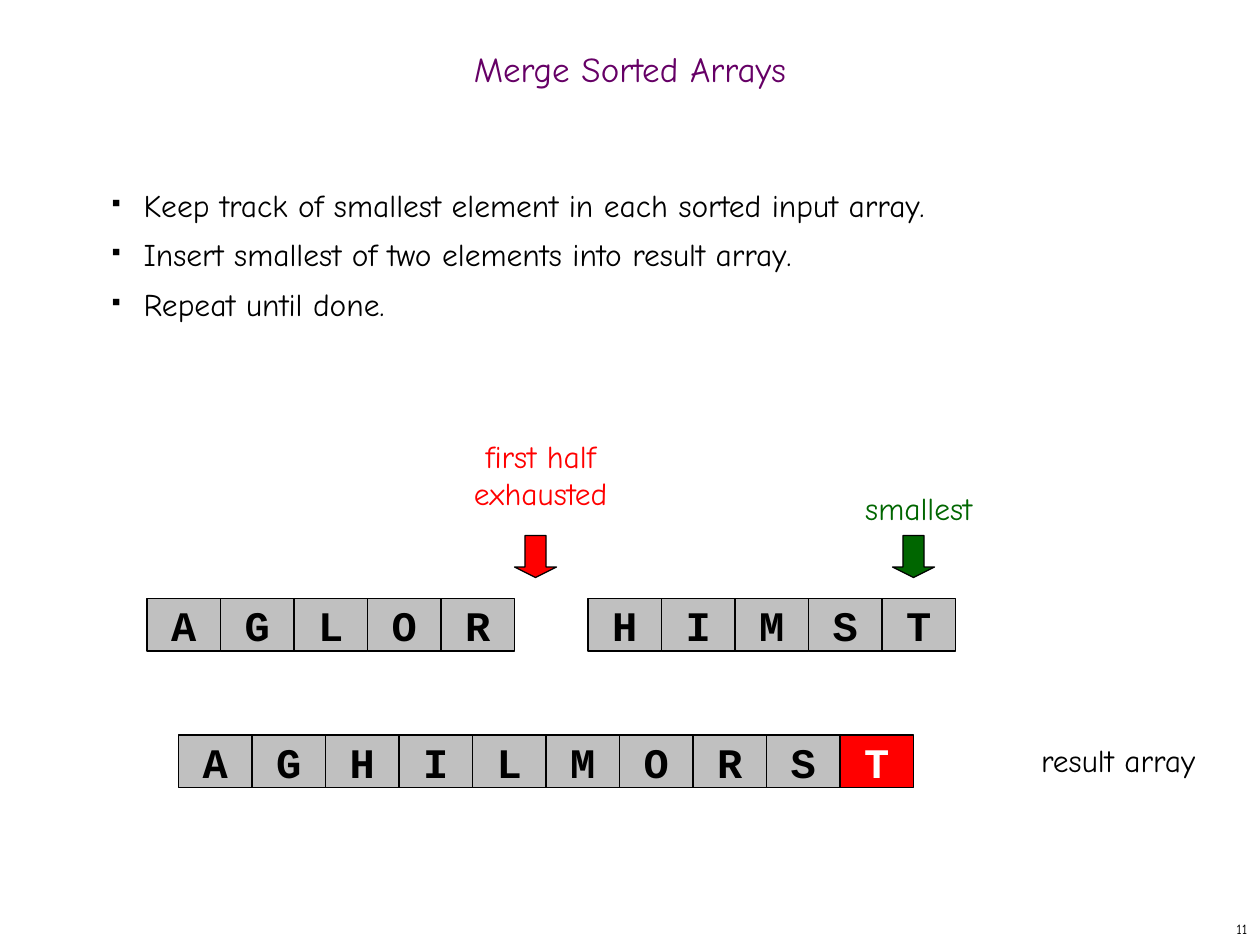
from lxml import etree
from pptx import Presentation
from pptx.dml.color import RGBColor
from pptx.enum.shapes import MSO_SHAPE as SHAPE
from pptx.enum.text import MSO_ANCHOR as ANCHOR, PP_ALIGN as ALIGN
from pptx.oxml.ns import qn
from pptx.util import Pt

CELL_W, CELL_H = 42, 30
INPUT_TOP, RESULT_TOP = 342, 420
ARROW_TOP, ARROW_SIZE = 306, 24
BLACK, WHITE, GRAY = "000000", "FFFFFF", "C0C0C0"
RED, GREEN, PURPLE = "FF0000", "006600", "660066"


def rgb(color):
    return RGBColor.from_string(color)


def write(sp, *lines, font="Comic Neue", size=18, color=BLACK, bold=False,
          align=ALIGN.CENTER, anchor=ANCHOR.TOP, wrap=True, spacing=None,
          before=0, bulleted=False):
    """Fill a shape with one paragraph per line; a newline is a line break."""
    tf = sp.text_frame
    tf.word_wrap = wrap
    tf.vertical_anchor = anchor
    for i, line in enumerate(lines):
        p = tf.add_paragraph() if i else tf.paragraphs[0]
        p.text = line
        p.alignment = align
        if spacing:
            p.line_spacing = spacing
        if i:
            p.space_before = Pt(before)
        if bulleted:
            add_bullet(p)
        for r in p.runs:
            r.font.name = font
            r.font.size = Pt(size)
            r.font.bold = bold
            r.font.color.rgb = rgb(color)


def add_bullet(p):
    pPr = p._p.get_or_add_pPr()
    pPr.set("marL", str(Pt(27)))
    pPr.set("indent", str(-Pt(18)))
    clr = etree.SubElement(pPr, qn("a:buClr"))
    etree.SubElement(clr, qn("a:srgbClr"), val=BLACK)
    etree.SubElement(pPr, qn("a:buSzPct"), val="35000")
    etree.SubElement(pPr, qn("a:buChar"), char="■")


def add_text(s, x, y, w, h, *lines, **fmt):
    write(s.shapes.add_textbox(Pt(x), Pt(y), Pt(w), Pt(h)), *lines, **fmt)


def add_filled(s, kind, x, y, w, h, fill):
    sp = s.shapes.add_shape(kind, Pt(x), Pt(y), Pt(w), Pt(h))
    sp.shadow.inherit = False
    sp.fill.solid()
    sp.fill.fore_color.rgb = rgb(fill)
    sp.line.color.rgb = rgb(BLACK)
    sp.line.width = Pt(0.75)
    return sp


def add_arrow(s, x, color):
    sp = add_filled(s, SHAPE.DOWN_ARROW, x, ARROW_TOP, ARROW_SIZE, ARROW_SIZE, color)
    sp.adjustments[0] = 0.5
    sp.adjustments[1] = 0.25


def add_array(s, x, y, letters, newest=None):
    """Draw a row of cells, with the cell at index newest highlighted."""
    for i, letter in enumerate(letters):
        fill, color = (RED, WHITE) if i == newest else (GRAY, BLACK)
        sp = add_filled(s, SHAPE.RECTANGLE, x + i * CELL_W, y, CELL_W, CELL_H, fill)
        write(sp, letter, font="Courier New", size=24, color=color, bold=True,
              anchor=ANCHOR.MIDDLE, wrap=False)


def main():
    prs = Presentation()
    prs.slide_width, prs.slide_height = Pt(720), Pt(540)
    s = prs.slides.add_slide(prs.slide_layouts[6])

    add_text(s, 0, 18, 720, 48, "Merge Sorted Arrays", size=20, color=PURPLE,
             anchor=ANCHOR.MIDDLE, spacing=0.7)
    add_text(s, 48, 100.5, 618, 100,
             "Keep track of smallest element in each sorted input array.",
             "Insert smallest of two elements into result array.",
             "Repeat until done.",
             align=ALIGN.LEFT, spacing=1.1, before=4.5, bulleted=True)

    add_text(s, 234, 246, 150, 50.4, "first half\nexhausted", color=RED)
    add_arrow(s, 294, RED)
    add_text(s, 450, 276, 150, 28.8, "smallest", color=GREEN)
    add_arrow(s, 510, GREEN)

    add_array(s, 84, INPUT_TOP, "AGLOR")
    add_array(s, 336, INPUT_TOP, "HIMST")
    add_array(s, 102, RESULT_TOP, "AGHILMORST", newest=9)
    add_text(s, 570, RESULT_TOP, 138, 28.8, "result array")

    add_text(s, 570, 522, 150, 18, "11", size=8, align=ALIGN.RIGHT,
             anchor=ANCHOR.MIDDLE, wrap=False)
    prs.save("out.pptx")


if __name__ == "__main__":
    main()
